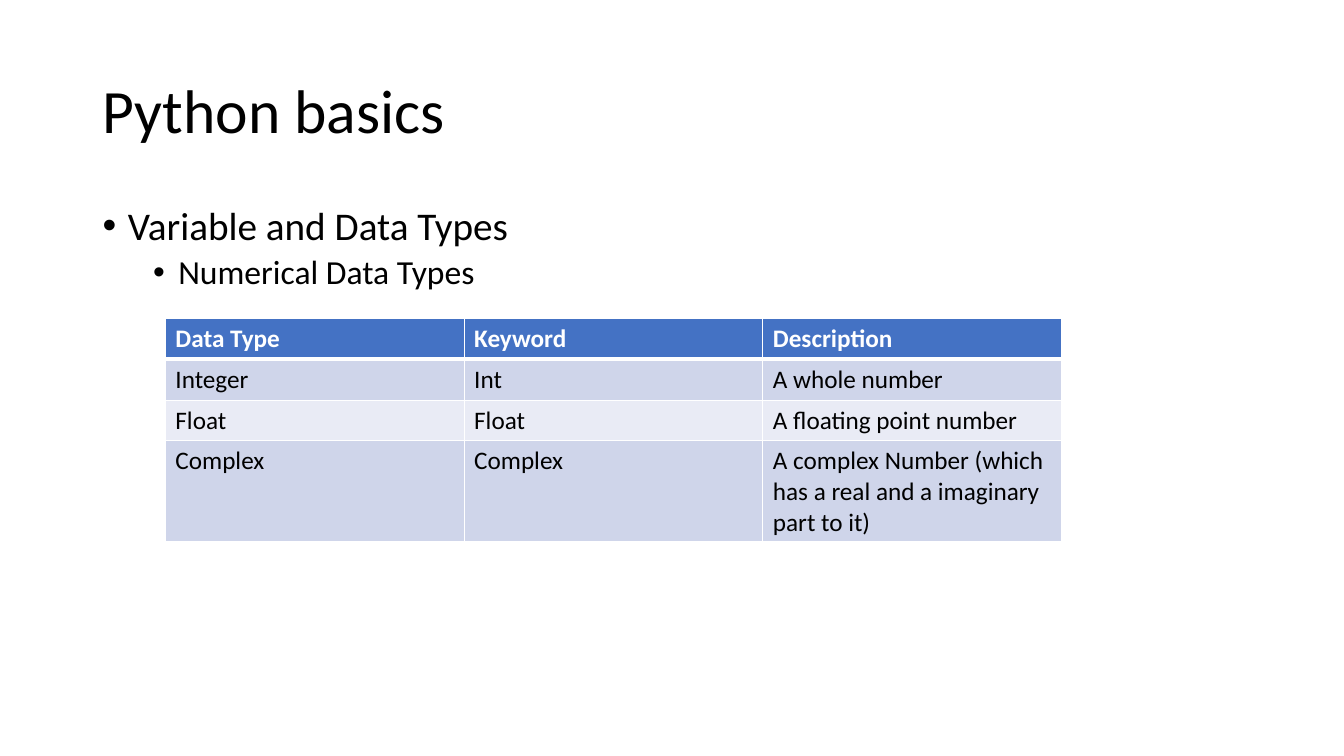
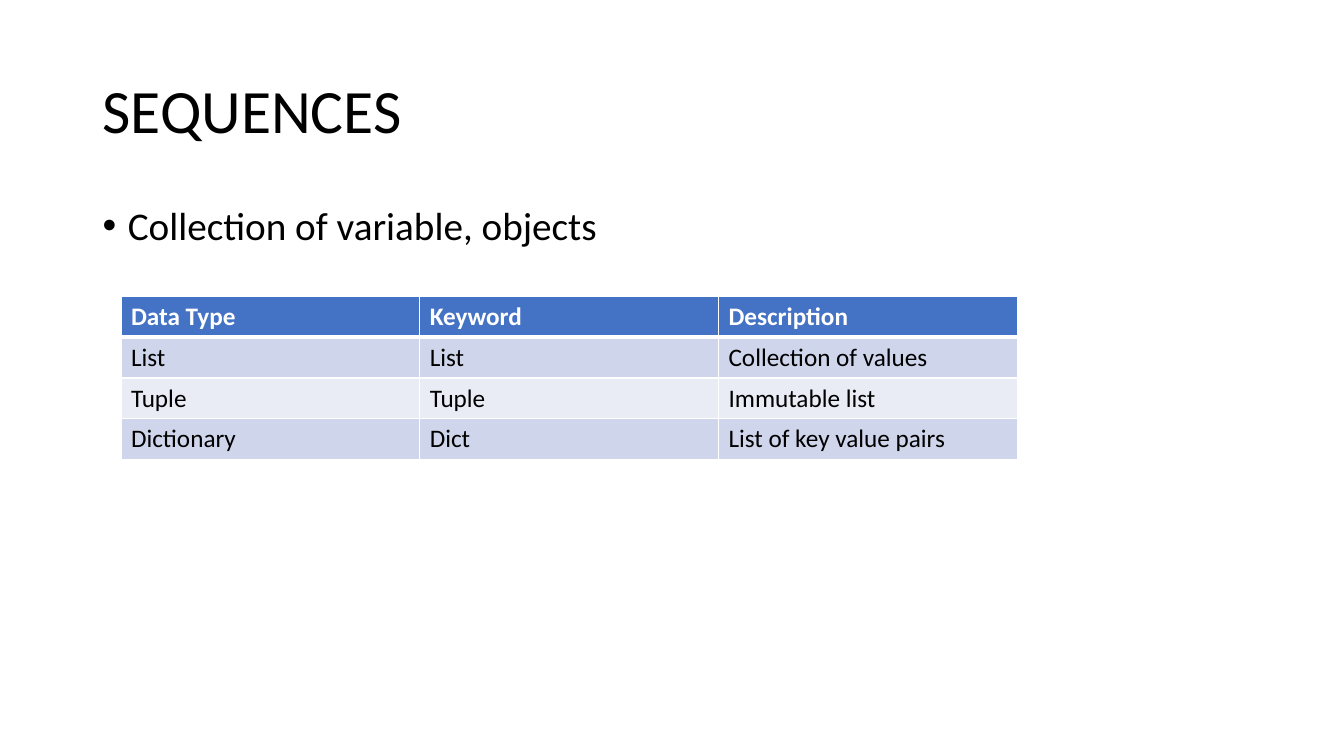
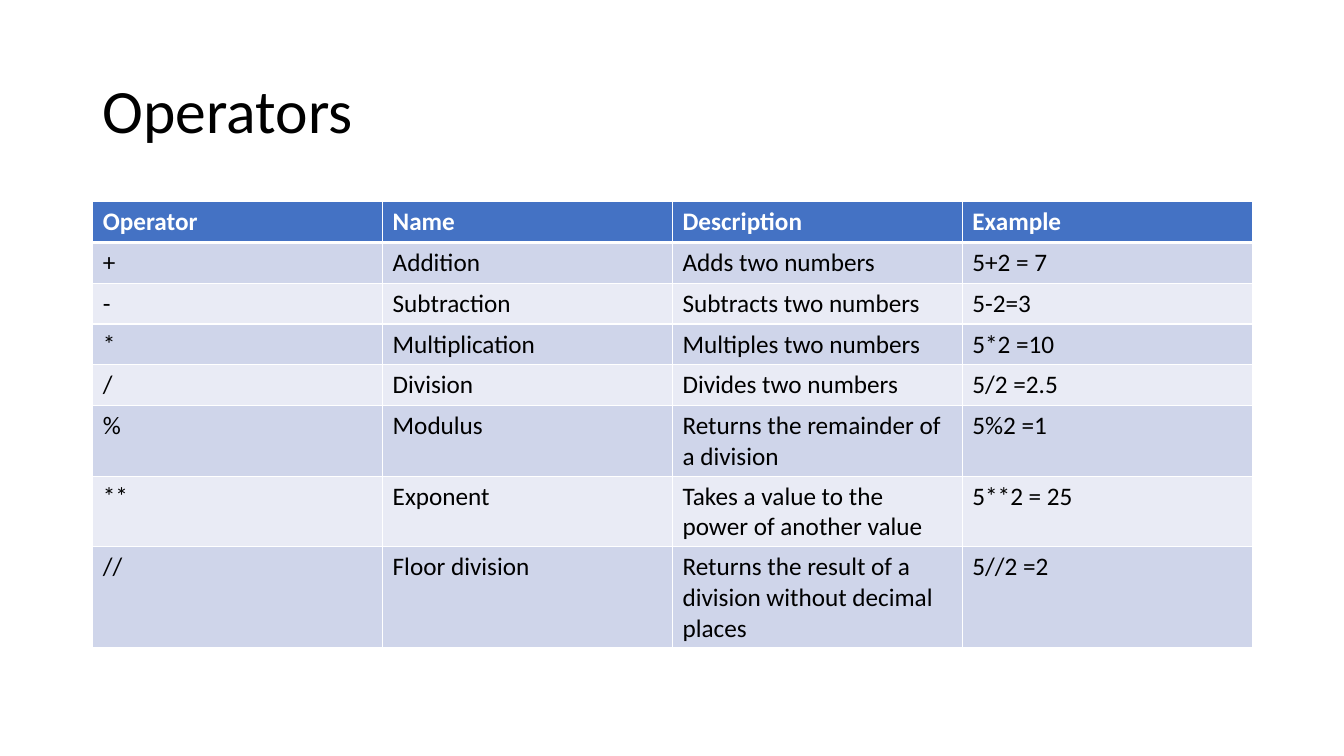
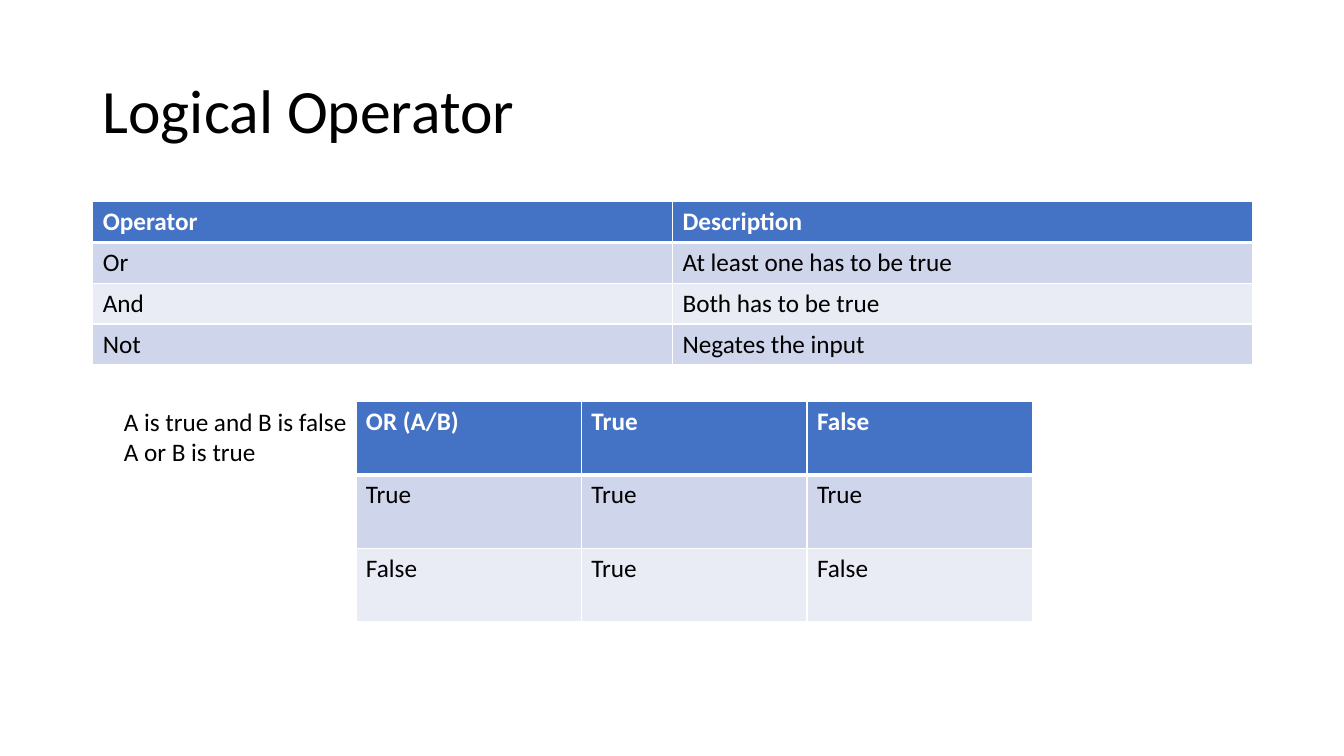
"""Build four slides on Python data types and operators."""
from lxml import etree
from pptx import Presentation
from pptx.dml.color import RGBColor
from pptx.enum.text import MSO_ANCHOR
from pptx.oxml.ns import qn
from pptx.util import Inches, Pt

MIDDLE, TOP = MSO_ANCHOR.MIDDLE, MSO_ANCHOR.TOP
BLACK = RGBColor(0x00, 0x00, 0x00)
WHITE = RGBColor(0xFF, 0xFF, 0xFF)
HEADER = RGBColor(0x44, 0x72, 0xC4)
BANDS = [RGBColor(0xE9, 0xEB, 0xF5), RGBColor(0xCF, 0xD5, 0xEA)]
FONT = "Calibri"
ROW = 0.405

TITLE = {"size": Pt(44), "spacing": 0.9, "before": Pt(0), "indent": None}
BULLETS = [
    {"size": Pt(28), "spacing": 0.9, "before": Pt(10), "indent": 0.25},
    {"size": Pt(24), "spacing": 0.9, "before": Pt(5), "indent": 0.75},
]
NOTE = {"size": Pt(18), "spacing": 1.0, "before": Pt(0), "indent": None}

SLIDES = [
    {
        "title": "Python basics",
        "bullets": ["Variable and Data Types", "Numerical Data Types"],
        "tables": [(1.64, 3.16, 8.89, ROW, [
            ["Data Type", "Keyword", "Description"],
            ["Integer", "Int", "A whole number"],
            ["Float", "Float", "A floating point number"],
            ["Complex", "Complex", "A complex Number (which has a real and a imaginary part to it)"],
        ])],
    },
    {
        "title": "SEQUENCES",
        "bullets": ["Collection of variable, objects"],
        "tables": [(1.2, 2.94, 8.89, ROW, [
            ["Data Type", "Keyword", "Description"],
            ["List", "List", "Collection of values"],
            ["Tuple", "Tuple", "Immutable list"],
            ["Dictionary", "Dict", "List of key value pairs"],
        ])],
    },
    {
        "title": "Operators",
        "tables": [(0.92, 2, 11.5, ROW, [
            ["Operator", "Name", "Description", "Example"],
            ["+", "Addition", "Adds two numbers", "5+2 = 7"],
            ["-", "Subtraction", "Subtracts two numbers", "5-2=3"],
            ["*", "Multiplication", "Multiples two numbers", "5*2 =10"],
            ["/", "Division", "Divides two numbers", "5/2 =2.5"],
            ["%", "Modulus", "Returns the remainder of a division", "5%2 =1"],
            ["**", "Exponent", "Takes a value to the power of another value", "5**2 = 25"],
            ["//", "Floor division", "Returns the result of a division without decimal places", "5//2 =2"],
        ])],
    },
    {
        "title": "Logical Operator",
        "note": ["A is true and B is false", "A or B is true"],
        "tables": [
            (0.92, 2, 11.5, ROW, [
                ["Operator", "Description"],
                ["Or", "At least one has to be true"],
                ["And", "Both has to be true"],
                ["Not", "Negates the input"],
            ]),
            (3.53, 3.98, 6.71, 0.73, [
                ["OR (A/B)", "True", "False"],
                ["True", "True", "True"],
                ["False", "True", "False"],
            ]),
        ],
    },
]


def add_text(s, box, lines, styles, anchor=TOP):
    """Add a text box with one style for each line."""
    tf = s.shapes.add_textbox(*map(Inches, box)).text_frame
    tf.word_wrap = True
    tf.vertical_anchor = anchor
    for i, (line, style) in enumerate(zip(lines, styles)):
        p = tf.add_paragraph() if i else tf.paragraphs[0]
        p.line_spacing, p.space_before = style["spacing"], style["before"]
        r = p.add_run()
        r.text = line
        for name, value in {"name": FONT, "size": style["size"]}.items():
            setattr(r.font, name, value)
        r.font.color.rgb = BLACK
        if style["indent"]:
            pPr = p._p.get_or_add_pPr()
            pPr.set("marL", str(Inches(style["indent"])))
            pPr.set("indent", str(Inches(-0.25)))
            etree.SubElement(pPr, qn("a:buFont")).set("typeface", "Arial")
            etree.SubElement(pPr, qn("a:buChar")).set("char", "•")


def add_grid(s, left, top, width, row_height, rows):
    """Add a banded table with white rules and a header row."""
    box = (left, top, width, row_height * len(rows))
    table = s.shapes.add_table(len(rows), len(rows[0]), *map(Inches, box)).table
    for i, row in enumerate(rows):
        for j, text in enumerate(row):
            cell = table.cell(i, j)
            cell.text = text
            font = cell.text_frame.paragraphs[0].runs[0].font
            for name, value in {"name": FONT, "size": Pt(18), "bold": i == 0}.items():
                setattr(font, name, value)
            font.color.rgb = BLACK if i else WHITE
            tcPr = cell._tc.get_or_add_tcPr()
            for side in "LRTB":
                thick = (i, side) in [(0, "B"), (1, "T")]
                ln = etree.SubElement(tcPr, qn(f"a:ln{side}"), w=str(Pt(3 if thick else 1)))
                fill = etree.SubElement(ln, qn("a:solidFill"))
                etree.SubElement(fill, qn("a:srgbClr"), val=str(WHITE))
            cell.fill.solid()
            cell.fill.fore_color.rgb = BANDS[i % 2] if i else HEADER


prs = Presentation()
prs.slide_width, prs.slide_height = Inches(13.33), Inches(7.5)
for content in SLIDES:
    s = prs.slides.add_slide(prs.slide_layouts[6])
    add_text(s, (0.92, 0.4, 11.5, 1.45), [content["title"]], [TITLE], MIDDLE)
    if "bullets" in content:
        add_text(s, (0.92, 2, 11.5, 4.76), content["bullets"], BULLETS)
    if "note" in content:
        add_text(s, (1.13, 3.98, 11.14, 1.31), content["note"], [NOTE, NOTE])
    for grid in content["tables"]:
        add_grid(s, *grid)
prs.save("out.pptx")
